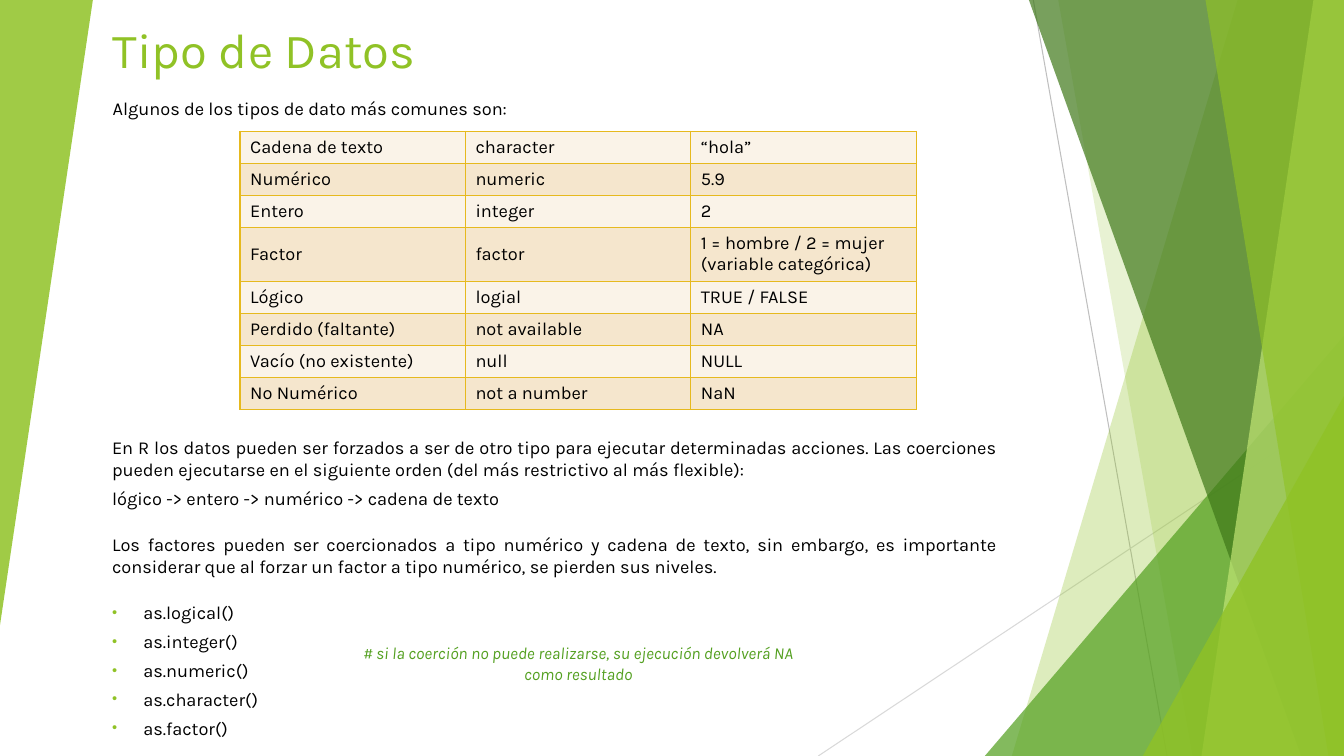
"""Build the slide on R data types and their coercion."""
from lxml.etree import SubElement
from pptx import Presentation
from pptx.dml.color import RGBColor
from pptx.enum.shapes import MSO_CONNECTOR, MSO_SHAPE
from pptx.enum.text import MSO_ANCHOR, MSO_AUTO_SIZE, PP_ALIGN
from pptx.oxml.ns import qn
from pptx.util import Cm, Pt

LIME = RGBColor(0x90, 0xC2, 0x26)
GREEN = RGBColor(0x54, 0xA0, 0x21)
FOREST = RGBColor(0x3F, 0x78, 0x19)
PALE_LIME = RGBColor(0xC0, 0xE4, 0x74)
GOLD = RGBColor(0xE6, 0xB9, 0x1E)
CREAM = RGBColor(0xFA, 0xF3, 0xE8)
SAND = RGBColor(0xF5, 0xE6, 0xCD)
GREY = RGBColor(0xBF, 0xBF, 0xBF)
LIGHT_GREY = RGBColor(0xD9, 0xD9, 0xD9)
BLACK = RGBColor(0, 0, 0)

WIDTH, HEIGHT = 33.87, 19.05
TITLE_FONT = {"name": "Karla", "size": Pt(35), "bold": False}
TEXT_FONT = {"name": "Karla", "size": Pt(13), "bold": False}
NOTE_FONT = {"name": "Karla", "size": Pt(12), "italic": True}
JUSTIFIED = {"alignment": PP_ALIGN.JUSTIFY, "space_before": Pt(5)}
AFTER_GAP = {"alignment": PP_ALIGN.JUSTIFY, "space_before": Pt(17.4)}
CENTERED = {"alignment": PP_ALIGN.CENTER, "space_before": Pt(5)}
LEFT = {"alignment": PP_ALIGN.LEFT}

DATA_TYPES = [
    ("Cadena de texto", "character", "“hola”"),
    ("Numérico", "numeric", "5.9"),
    ("Entero", "integer", "2"),
    ("Factor", "factor", "1 = hombre / 2 = mujer\n(variable categórica)"),
    ("Lógico", "logial", "TRUE / FALSE"),
    ("Perdido (faltante)", "not available", "NA"),
    ("Vacío (no existente)", "null", "NULL"),
    ("No Numérico", "not a number", "NaN"),
]
COERCION = [
    ("En R los datos pueden ser forzados a ser de otro tipo para ejecutar "
     "determinadas acciones. Las coerciones pueden ejecutarse en el siguiente "
     "orden (del más restrictivo al más flexible):", JUSTIFIED),
    ("lógico -> entero -> numérico -> cadena de texto", JUSTIFIED),
    ("Los factores pueden ser coercionados a tipo numérico y cadena de texto, "
     "sin embargo, es importante considerar que al forzar un factor a tipo "
     "numérico, se pierden sus niveles.", AFTER_GAP),
]
FUNCTIONS = ["as.logical()", "as.integer()", "as.numeric()", "as.character()",
             "as.factor()"]


def apply(target, values):
    for name, value in values.items():
        setattr(target, name, value)


def paint(shape, color, opacity):
    shape.shadow.inherit = False
    shape.fill.solid()
    shape.fill.fore_color.rgb = color
    shape.line.fill.background()
    color_element = shape.element.spPr.find(".//" + qn("a:srgbClr"))
    SubElement(color_element, qn("a:alpha"), val=str(opacity * 1000))


def add_line(slide, start, end, color):
    line = slide.shapes.add_connector(
        MSO_CONNECTOR.STRAIGHT, *(Cm(value) for value in start + end))
    line.line.color.rgb = color
    line.line.width = Pt(0.75)
    SubElement(line.element.spPr, qn("a:effectLst"))


def add_band(slide, top_x, bottom_x, color, opacity):
    corners = [(WIDTH, 0), (WIDTH, HEIGHT), (bottom_x, HEIGHT)]
    builder = slide.shapes.build_freeform(Cm(top_x), 0)
    builder.add_line_segments([(Cm(x), Cm(y)) for x, y in corners])
    paint(builder.convert_to_shape(), color, opacity)


def add_triangle(slide, box, color, opacity, rotation=0):
    triangle = slide.shapes.add_shape(
        MSO_SHAPE.ISOSCELES_TRIANGLE, *(Cm(value) for value in box))
    triangle.adjustments[0] = 1
    triangle.rotation = rotation
    paint(triangle, color, opacity)


def add_decoration(slide):
    add_line(slide, (26.04, 0), (29.41, HEIGHT), GREY)
    add_line(slide, (WIDTH, 10.24), (20.62, HEIGHT), LIGHT_GREY)
    add_band(slide, 31.19, 25.5, LIME, 30)
    add_band(slide, 26.67, 30.05, LIME, 20)
    add_triangle(slide, (24.82, 8.46, 9.05, 10.59), GREEN, 72)
    add_band(slide, 25.93, 32.79, FOREST, 70)
    add_band(slide, 33.1, 30.28, PALE_LIME, 70)
    add_band(slide, 30.38, 33.48, LIME, 65)
    add_triangle(slide, (28.8, 9.98, 5.07, 9.07), LIME, 80)
    add_triangle(slide, (0, 0, 2.34, 15.75), LIME, 85, rotation=180)


def place(placeholder, box, anchor):
    """Move a placeholder to its box, in front of the decoration."""
    names = ("left", "top", "width", "height")
    apply(placeholder, {name: Cm(value) for name, value in zip(names, box)})
    apply(placeholder.text_frame, {
        "word_wrap": True, "auto_size": MSO_AUTO_SIZE.NONE,
        "vertical_anchor": anchor})
    placeholder.element.getparent().append(placeholder.element)


def write(paragraph, text, layout, font, color):
    run = paragraph.add_run()
    run.text = text
    apply(paragraph, layout)
    apply(run.font, font)
    run.font.color.rgb = color


def add_text(slide, box, text, layout, font, color):
    text_box = slide.shapes.add_textbox(*(Cm(value) for value in box))
    text_box.text_frame.word_wrap = True
    write(text_box.text_frame.paragraphs[0], text, layout, font, color)


def set_bullet(paragraph, shown):
    properties = paragraph._p.get_or_add_pPr()
    indent = Cm(0.79) if shown else 0
    properties.set("marL", str(indent))
    properties.set("indent", str(-indent))
    if not shown:
        SubElement(properties, qn("a:buNone"))
        return
    bullet_color = SubElement(properties, qn("a:buClr"))
    SubElement(bullet_color, qn("a:srgbClr"), val=str(LIME))
    SubElement(properties, qn("a:buSzPct"), val="80000")
    SubElement(properties, qn("a:buFont"), typeface="Arial")
    SubElement(properties, qn("a:buChar"), char="•")


def fill_body(body):
    items = [(text, layout, False) for text, layout in COERCION]
    items += [(name, JUSTIFIED if index else AFTER_GAP, True)
              for index, name in enumerate(FUNCTIONS)]
    frame = body.text_frame
    for index, (text, layout, bulleted) in enumerate(items):
        paragraph = frame.add_paragraph() if index else frame.paragraphs[0]
        write(paragraph, text, layout, TEXT_FONT, BLACK)
        set_bullet(paragraph, bulleted)


def add_borders(cell):
    properties = cell._tc.get_or_add_tcPr()
    for index, side in enumerate(("lnL", "lnR", "lnT", "lnB")):
        border = properties.makeelement(qn("a:" + side), {"w": str(Pt(1))})
        properties.insert(index, border)
        fill = SubElement(border, qn("a:solidFill"))
        SubElement(fill, qn("a:srgbClr"), val=str(GOLD))


def add_type_table(slide):
    table = slide.shapes.add_table(
        len(DATA_TYPES), 3, Cm(6.05), Cm(3.31), Cm(17.04), Cm(6.84)).table
    apply(table, {"first_row": False, "horz_banding": False})
    for column in table.columns:
        column.width = Cm(5.68)
    for index, (row, values) in enumerate(zip(table.rows, DATA_TYPES)):
        row.height = Cm(1.31 if "\n" in values[-1] else 0.79)
        for cell, text in zip(row.cells, values):
            cell.fill.solid()
            cell.fill.fore_color.rgb = SAND if index % 2 else CREAM
            cell.vertical_anchor = MSO_ANCHOR.MIDDLE
            add_borders(cell)
            for number, line in enumerate(text.split("\n")):
                frame = cell.text_frame
                paragraph = frame.add_paragraph() if number else frame.paragraphs[0]
                write(paragraph, line, LEFT, TEXT_FONT, BLACK)


def main():
    presentation = Presentation()
    apply(presentation, {"slide_width": Cm(WIDTH), "slide_height": Cm(HEIGHT)})
    slide = presentation.slides.add_slide(presentation.slide_layouts[1])
    title, body = slide.placeholders
    add_decoration(slide)
    place(title, (2.59, 0.13, 21.56, 1.96), MSO_ANCHOR.BOTTOM)
    write(title.text_frame.paragraphs[0], "Tipo de Datos", LEFT, TITLE_FONT, LIME)
    add_text(slide, (2.59, 2.34, 22.78, 0.86),
             "Algunos de los tipos de dato más comunes son:",
             JUSTIFIED, TEXT_FONT, BLACK)
    add_type_table(slide)
    place(body, (2.57, 10.87, 22.78, 7.59), MSO_ANCHOR.TOP)
    fill_body(body)
    add_text(slide, (8.71, 16.08, 11.73, 1.57),
             "# si la coerción no puede realizarse, su ejecución devolverá NA "
             "como resultado", CENTERED, NOTE_FONT, GREEN)
    presentation.save("out.pptx")


if __name__ == "__main__":
    main()
